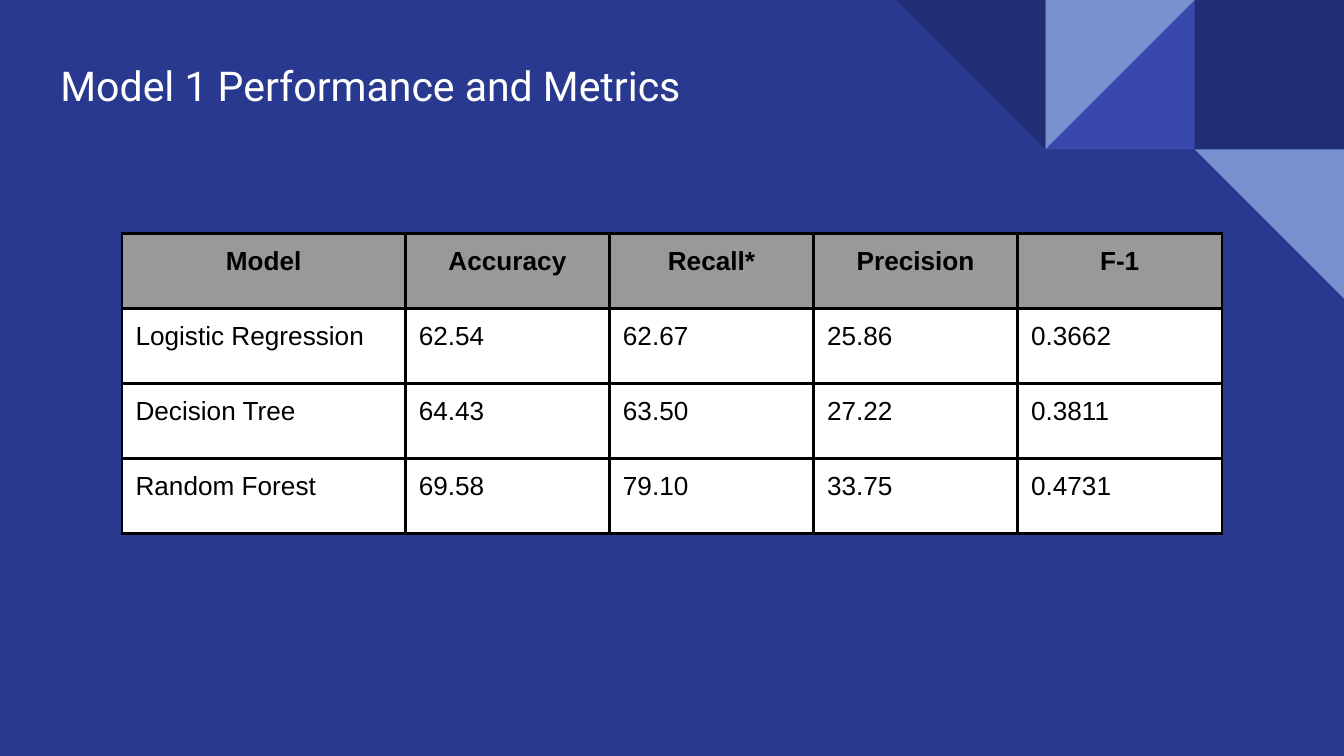
import lxml.etree
import pptx
import pptx.dml.color
import pptx.enum.shapes
import pptx.enum.text
import pptx.oxml.ns
import pptx.util

Pt = pptx.util.Pt
Shape = pptx.enum.shapes.MSO_SHAPE
Align = pptx.enum.text.PP_ALIGN
Anchor = pptx.enum.text.MSO_ANCHOR
qn = pptx.oxml.ns.qn

COLORS = {
    "back": "2A3990",
    "navy": "212D74",
    "blue": "3949AB",
    "light": "7890CD",
    "white": "FFFFFF",
    "gray": "999999",
    "black": "000000",
}
INSET = 7.2

# Corner tiles: shape, column, row, turn, colour
TILES = [
    (Shape.RECTANGLE, 2, 0, 0, "navy"),
    (Shape.RIGHT_TRIANGLE, 1, 0, 270, "blue"),
    (Shape.RIGHT_TRIANGLE, 1, 0, 90, "light"),
    (Shape.RIGHT_TRIANGLE, 0, 0, 180, "navy"),
    (Shape.RIGHT_TRIANGLE, 2, 1, 180, "light"),
]

ROWS = [
    ["Model", "Accuracy", "Recall*", "Precision", "F-1"],
    ["Logistic Regression", "62.54", "62.67", "25.86", "0.3662"],
    ["Decision Tree", "64.43", "63.50", "27.22", "0.3811"],
    ["Random Forest", "69.58", "79.10", "33.75", "0.4731"],
]


def color(name):
    return pptx.dml.color.RGBColor.from_string(COLORS[name])


def paint(fill, name):
    fill.solid()
    fill.fore_color.rgb = color(name)


def write(para, text, font, size, ink, bold=False):
    run = para.add_run()
    run.text = text
    run.font.name = font
    run.font.size = Pt(size)
    run.font.bold = bold
    run.font.color.rgb = color(ink)


def border(cell, width):
    props = cell._tc.get_or_add_tcPr()
    for side in ("a:lnL", "a:lnR", "a:lnT", "a:lnB"):
        line = lxml.etree.SubElement(props, qn(side), w=str(Pt(width)))
        fill = lxml.etree.SubElement(line, qn("a:solidFill"))
        lxml.etree.SubElement(fill, qn("a:srgbClr"), val=COLORS["black"])


def add_corner(slide, left, top, size):
    group = slide.shapes.add_group_shape()
    for kind, col, row, turn, name in TILES:
        tile = group.shapes.add_shape(
            kind, Pt(left + col * size), Pt(top + row * size), Pt(size), Pt(size))
        tile.rotation = turn
        tile.shadow.inherit = False
        paint(tile.fill, name)
        tile.line.fill.background()


def add_title(slide, left, top, width, height):
    title = slide.shapes.title
    title.left, title.top = Pt(left), Pt(top)
    title.width, title.height = Pt(width), Pt(height)
    frame = title.text_frame
    frame.word_wrap = True
    frame.auto_size = pptx.enum.text.MSO_AUTO_SIZE.NONE
    frame.vertical_anchor = Anchor.TOP
    frame.margin_left = frame.margin_right = Pt(INSET)
    frame.margin_top = frame.margin_bottom = Pt(INSET)
    para = frame.paragraphs[0]
    para.alignment = Align.LEFT
    para.line_spacing = 1.0
    para.space_before = Pt(0)
    write(para, "Model 1 Performance and Metrics", "Roboto", 22, "white")


def add_scores(slide, left, top, width, height):
    first = 151.8
    rest = (width - first) / (len(ROWS[0]) - 1)
    table = slide.shapes.add_table(
        len(ROWS), len(ROWS[0]), Pt(left), Pt(top), Pt(width), Pt(height)).table
    for i, col in enumerate(table.columns):
        col.width = Pt(rest if i else first)
    for r, row in enumerate(ROWS):
        head = r == 0
        table.rows[r].height = Pt(height / len(ROWS))
        for c, text in enumerate(row):
            cell = table.cell(r, c)
            border(cell, 1.5)
            paint(cell.fill, "gray" if head else "white")
            cell.margin_left = cell.margin_right = Pt(INSET)
            cell.margin_top = cell.margin_bottom = Pt(INSET)
            cell.vertical_anchor = Anchor.TOP
            para = cell.text_frame.paragraphs[0]
            para.alignment = Align.CENTER if head else Align.LEFT
            write(para, text, "Arial", 14, "black", head)


def main():
    deck = pptx.Presentation()
    deck.slide_width, deck.slide_height = Pt(720), Pt(405)
    slide = deck.slides.add_slide(deck.slide_layouts[5])
    paint(slide.background.fill, "back")
    add_corner(slide, 480, 0, 80)
    add_title(slide, 25.2, 25.2, 404.6, 35.3)
    add_scores(slide, 65.4, 125, 589.2, 161)
    deck.save("out.pptx")


if __name__ == "__main__":
    main()
